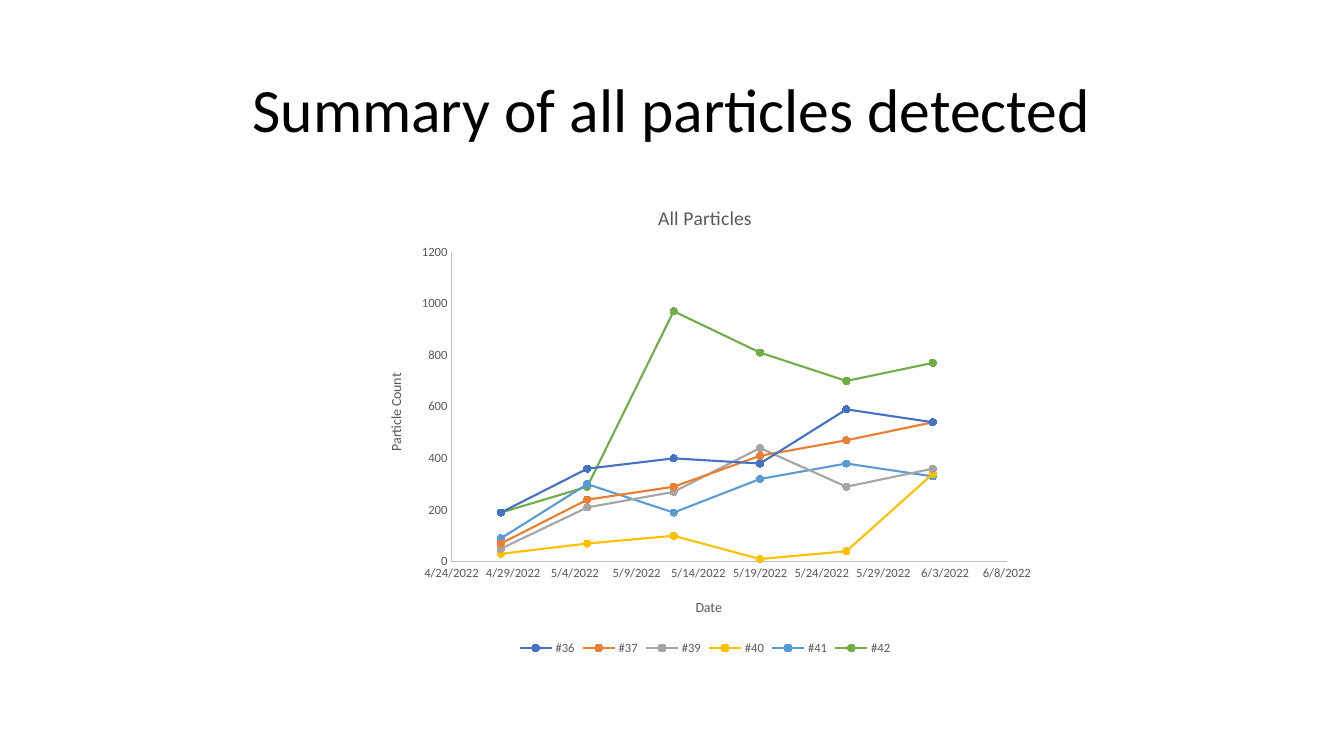
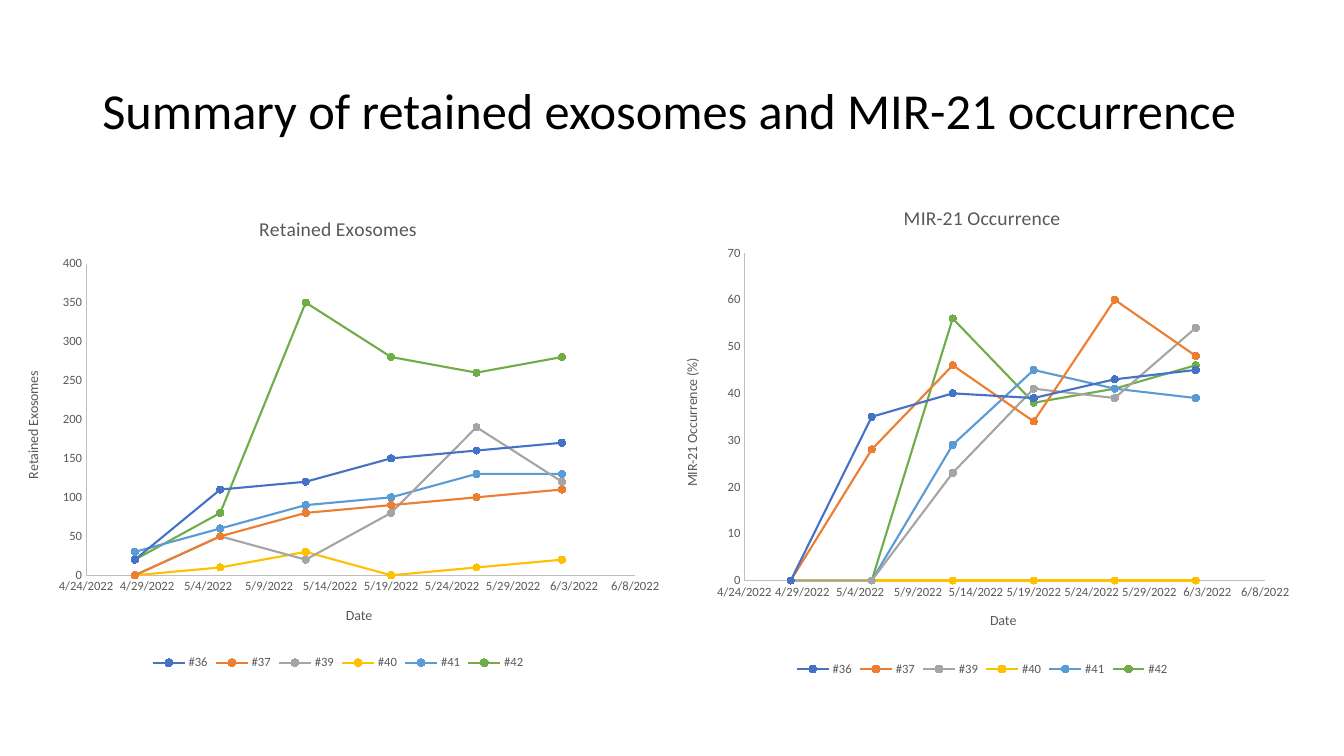
import pptx
import pptx.util
import pptx.chart.data
import pptx.dml.color
import pptx.enum.chart
import pptx.enum.text
import pptx.oxml
import pptx.oxml.ns

PX = 9525
FONT = "Calibri"
COLORS = {
    "title": "000000",
    "label": "595959",
    "axis": "BFBFBF",
    "#36": "4472C4",
    "#37": "ED7D31",
    "#39": "A5A5A5",
    "#40": "FFC000",
    "#41": "5B9BD5",
    "#42": "70AD47",
}
FIRST_DAY, DAY_STEP = 44679, 7
AXIS_DAYS = (44675, 44720)

ALL_PARTICLES = {
    "#36": (190, 360, 400, 380, 590, 540),
    "#37": (70, 240, 290, 410, 470, 540),
    "#39": (50, 210, 270, 440, 290, 360),
    "#40": (30, 70, 100, 10, 40, 340),
    "#41": (90, 300, 190, 320, 380, 330),
    "#42": (190, 290, 970, 810, 700, 770),
}
RETAINED_EXOSOMES = {
    "#36": (20, 110, 120, 150, 160, 170),
    "#37": (0, 50, 80, 90, 100, 110),
    "#39": (0, 50, 20, 80, 190, 120),
    "#40": (0, 10, 30, 0, 10, 20),
    "#41": (30, 60, 90, 100, 130, 130),
    "#42": (20, 80, 350, 280, 260, 280),
}
MIR21_OCCURRENCE = {
    "#36": (0, 35, 40, 39, 43, 45),
    "#37": (0, 28, 46, 34, 60, 48),
    "#39": (0, 0, 23, 41, 39, 54),
    "#40": (0, 0, 0, 0, 0, 0),
    "#41": (0, 0, 29, 45, 41, 39),
    "#42": (0, 0, 56, 38, 41, 46),
}


def px(*lengths):
    return [n * PX for n in lengths]


def rgb(name):
    return pptx.dml.color.RGBColor.from_string(COLORS[name])


def style_font(font, size, color):
    font.name = FONT
    font.size = pptx.util.Pt(size)
    font.bold = False
    font.color.rgb = rgb(color)


def add_run(p, text, size, color):
    r = p.add_run()
    r.text = text
    style_font(r.font, size, color)


def add_slide(prs, title, size, align):
    s = prs.slides.add_slide(prs.slide_layouts[6])
    tf = s.shapes.add_textbox(*px(88, 38, 1104, 139)).text_frame
    tf.word_wrap = True
    tf.vertical_anchor = pptx.enum.text.MSO_ANCHOR.MIDDLE
    p = tf.paragraphs[0]
    p.alignment = align
    p.line_spacing = 0.9
    add_run(p, title, size, "title")
    return s


def style_axis(axis, title, low, high, step, rotation=0):
    axis.minimum_scale, axis.maximum_scale, axis.major_unit = low, high, step
    axis.has_major_gridlines = False
    axis.major_tick_mark = pptx.enum.chart.XL_TICK_MARK.NONE
    axis.minor_tick_mark = pptx.enum.chart.XL_TICK_MARK.NONE
    axis.format.line.color.rgb = rgb("axis")
    axis.format.line.width = pptx.util.Pt(0.75)
    style_font(axis.tick_labels.font, 9, "label")
    add_run(axis.axis_title.text_frame.paragraphs[0], title, 10, "label")
    axis.axis_title.element.xpath(".//a:bodyPr")[0].set("rot", str(rotation * 60000))


def style_series(series):
    color = rgb(series.name)
    series.smooth = False
    series.format.line.color.rgb = color
    series.format.line.width = pptx.util.Pt(1.5)
    marker = series.marker
    marker.style = pptx.enum.chart.XL_MARKER_STYLE.CIRCLE
    marker.size = 5
    marker.format.fill.solid()
    marker.format.fill.fore_color.rgb = color
    marker.format.line.color.rgb = color


def set_layout(parent, index, frame, place, target=""):
    left, top, width, height = frame
    offsets = (left, top, 0, 0)
    sizes = (width, height, width, height)
    parts = target + "".join(f'<c:{k}Mode val="edge"/>' for k in "xy")
    for key, length, offset, size in zip("xywh", place, offsets, sizes):
        parts += f'<c:{key} val="{(length - offset) / size:.4f}"/>'
    for old in parent.xpath("./c:layout"):
        parent.remove(old)
    parent.insert(index, pptx.oxml.parse_xml(
        f'<c:layout {pptx.oxml.ns.nsdecls("c")}><c:manualLayout>{parts}</c:manualLayout></c:layout>'
    ))


def add_trend_chart(s, title, value_title, counts, top_value, step, frame, plot, date_at=None):
    data = pptx.chart.data.XyChartData()
    for name, values in counts.items():
        series = data.add_series(name)
        for week, value in enumerate(values):
            series.add_data_point(FIRST_DAY + week * DAY_STEP, value)
    kind = pptx.enum.chart.XL_CHART_TYPE.XY_SCATTER_LINES
    chart = s.shapes.add_chart(kind, *px(*frame), data).chart
    style_font(chart.font, 10, "title")
    chart.has_title = True
    add_run(chart.chart_title.text_frame.paragraphs[0], title, 14, "label")
    chart.chart_title.include_in_layout = False
    chart.has_legend = True
    chart.legend.position = pptx.enum.chart.XL_LEGEND_POSITION.BOTTOM
    chart.legend.include_in_layout = False
    style_font(chart.legend.font, 9, "label")
    date_axis = chart.category_axis
    style_axis(date_axis, "Date", *AXIS_DAYS, 5)
    date_axis.tick_labels.number_format = "m/d/yyyy"
    date_axis.tick_labels.number_format_is_linked = False
    style_axis(chart.value_axis, value_title, 0, top_value, step, -90)
    chart.plots[0].vary_by_categories = False
    for series in chart.plots[0].series:
        style_series(series)
    area = chart.element.xpath(".//c:plotArea")[0]
    set_layout(area, 0, frame, plot, '<c:layoutTarget val="inner"/>')
    if date_at:
        set_layout(date_axis.axis_title.element, 1, frame, date_at)


def main():
    prs = pptx.Presentation()
    prs.slide_width, prs.slide_height = px(1280, 720)
    align = pptx.enum.text.PP_ALIGN

    s = add_slide(prs, "Summary of all particles detected", 44, align.CENTER)
    add_trend_chart(s, "All Particles", "Particle Count", ALL_PARTICLES, 1200, 200,
                    (348, 177, 647, 451), (430, 240, 529, 295), (660, 567))

    s = add_slide(prs, "Summary of retained exosomes and MIR-21 occurrence", 36, align.LEFT)
    add_trend_chart(s, "Retained Exosomes", "Retained Exosomes", RETAINED_EXOSOMES, 400, 50,
                    (4, 187, 636, 455), (82, 251, 523, 297))
    add_trend_chart(s, "MIR-21 Occurrence", "MIR-21 Occurrence (%)", MIR21_OCCURRENCE, 70, 10,
                    (631, 177, 609, 471), (709, 241, 496, 312))

    prs.save("out.pptx")


if __name__ == "__main__":
    main()
